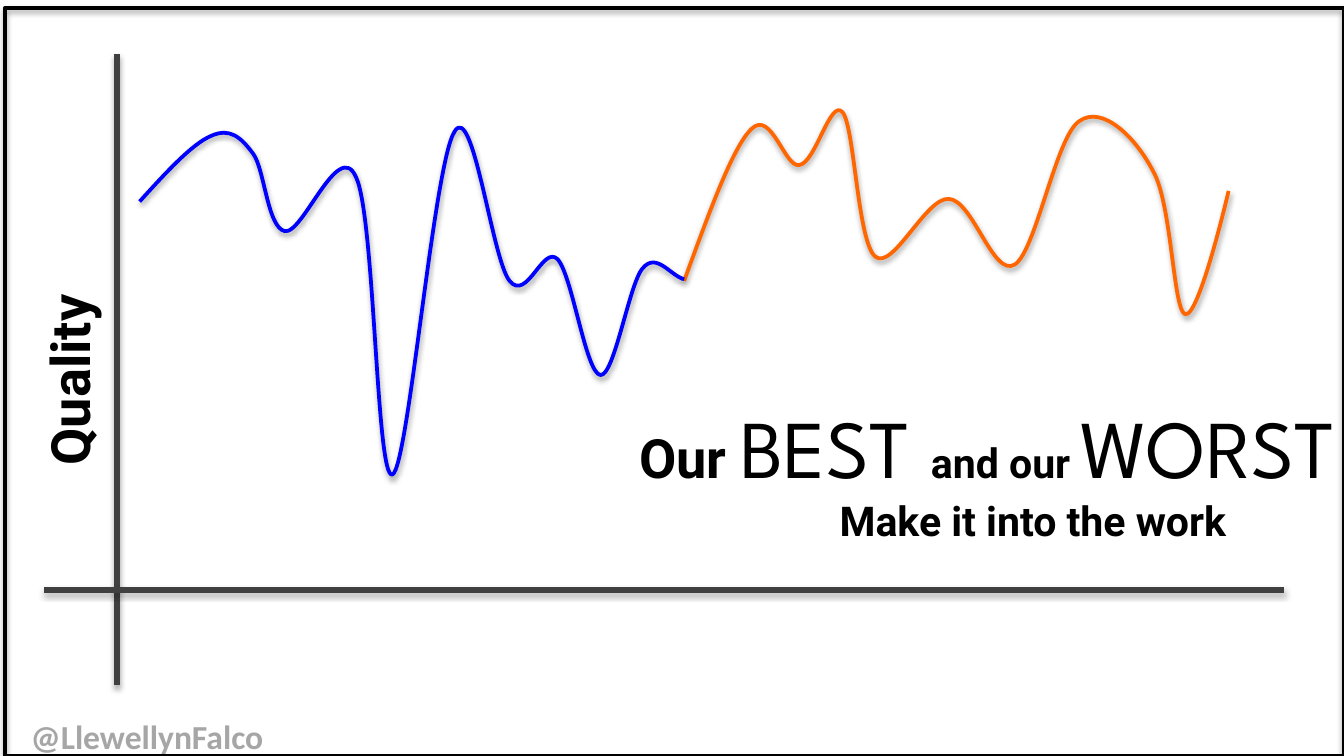
from lxml.etree import SubElement
from pptx import Presentation
from pptx.dml.color import RGBColor
from pptx.enum.shapes import MSO_CONNECTOR, MSO_SHAPE
from pptx.enum.text import MSO_ANCHOR, MSO_AUTO_SIZE, PP_ALIGN
from pptx.oxml.ns import qn
from pptx.util import Cm, Pt

BLACK = RGBColor(0x00, 0x00, 0x00)
AXIS_GREY = RGBColor(0x40, 0x40, 0x40)
CREDIT_GREY = RGBColor(0xA6, 0xA6, 0xA6)
BLUE = RGBColor(0x00, 0x00, 0xFF)
ORANGE = RGBColor(0xFF, 0x66, 0x00)

# Each curve: a starting point, then (control, control, end) per row, in cm.
FIRST_HALF = (2.64, 3.81), [
    ((3.12, 3.28), (3.63, 2.72), (3.99, 2.57)),
    ((4.34, 2.41), (4.55, 2.59), (4.78, 2.9)),
    ((5, 3.18), (5.05, 4.29), (5.38, 4.37)),
    ((5.72, 4.45), (6.4, 2.59), (6.73, 3.35)),
    ((7.09, 4.11), (7.11, 9.12), (7.42, 8.97)),
    ((7.72, 8.81), (8.2, 3.1), (8.59, 2.49)),
    ((8.94, 1.88), (9.3, 4.9), (9.63, 5.31)),
    ((9.96, 5.72), (10.26, 4.62), (10.54, 4.9)),
    ((10.82, 5.21), (11.07, 7.06), (11.35, 7.09)),
    ((11.61, 7.11), (11.89, 5.38), (12.14, 5.08)),
    ((12.4, 4.75), (12.67, 5.21), (12.93, 5.28)),
]
SECOND_HALF = (12.93, 5.31), [
    ((13.39, 4.06), (13.84, 2.79), (14.2, 2.44)),
    ((14.58, 2.06), (14.83, 3.18), (15.11, 3.12)),
    ((15.42, 3.07), (15.7, 1.83), (15.93, 2.13)),
    ((16.15, 2.41), (16.21, 4.57), (16.54, 4.85)),
    ((16.87, 5.13), (17.5, 3.73), (17.93, 3.76)),
    ((18.39, 3.78), (18.77, 5.26), (19.18, 5)),
    ((19.58, 4.75), (19.96, 2.57), (20.4, 2.29)),
    ((20.83, 1.98), (21.46, 2.59), (21.79, 3.23)),
    ((22.15, 3.84), (22.17, 5.87), (22.4, 5.94)),
    ((22.66, 6.02), (23.22, 3.61), (23.22, 3.61)),
]


class SlideBuilder:
    font = "Roboto"
    display_font = "League Spartan"
    credit_font = "Calibri"
    wide_margins = (0.69, 0.36)
    narrow_margins = (0.25, 0.13)

    def __init__(self, slide):
        self.slide = slide
        self.shapes = slide.shapes

    def outline(self, shape, color, width, opacity=35, distance=1.8):
        """Draw the line of a shape and the soft shadow below it."""
        shape.line.color.rgb = color
        shape.line.width = Pt(width)
        effects = SubElement(shape._element.spPr, qn("a:effectLst"))
        shadow = SubElement(effects, qn("a:outerShdw"), blurRad=str(Pt(3.1)),
                            dist=str(Pt(distance)), dir="5400000", rotWithShape="0")
        shadow_color = SubElement(shadow, qn("a:srgbClr"), val=str(BLACK))
        SubElement(shadow_color, qn("a:alpha"), val=str(opacity * 1000))

    def frame(self, left, top, width, height):
        shape = self.shapes.add_shape(MSO_SHAPE.ROUNDED_RECTANGLE,
                                      Cm(left), Cm(top), Cm(width), Cm(height))
        shape.adjustments[0] = 0
        shape.fill.background()
        self.outline(shape, BLACK, 2.25)

    def axis(self, x1, y1, x2, y2):
        connector = self.shapes.add_connector(MSO_CONNECTOR.STRAIGHT,
                                              Cm(x1), Cm(y1), Cm(x2), Cm(y2))
        self.outline(connector, AXIS_GREY, 3)

    def curve(self, start, segments, color):
        """Join the end points, then bend each line into a Bézier segment."""
        builder = self.shapes.build_freeform(Cm(start[0]), Cm(start[1]))
        builder.add_line_segments([(Cm(x), Cm(y)) for _, _, (x, y) in segments], close=False)
        shape = builder.convert_to_shape()
        lines = list(shape._element.iter(qn("a:lnTo")))
        for line, points in zip(lines, segments):
            line.tag = qn("a:cubicBezTo")
            line.remove(line[0])
            for x, y in points:
                SubElement(line, qn("a:pt"), x=str(Cm(x) - shape.left), y=str(Cm(y) - shape.top))
        shape.fill.background()
        self.outline(shape, color, 2, opacity=38, distance=1.6)

    def set_text(self, shape, paragraphs, margins, color=BLACK, align=PP_ALIGN.CENTER):
        """Fill a shape; each paragraph is a list of (text, size, font, bold)."""
        frame = shape.text_frame
        frame.word_wrap = True
        frame.auto_size = MSO_AUTO_SIZE.NONE
        frame.vertical_anchor = MSO_ANCHOR.TOP
        frame.margin_left = frame.margin_right = Cm(margins[0])
        frame.margin_top = frame.margin_bottom = Cm(margins[1])
        for index, runs in enumerate(paragraphs):
            paragraph = frame.add_paragraph() if index else frame.paragraphs[0]
            paragraph.alignment = align
            for text, size, font, bold in runs:
                run = paragraph.add_run()
                run.text = text
                run.font.size = Pt(size)
                run.font.name = font
                run.font.bold = bold
                run.font.color.rgb = color

    def message(self, left, top, width, height, paragraphs, last_indent):
        title = self.shapes.title
        title.left, title.top = Cm(left), Cm(top)
        title.width, title.height = Cm(width), Cm(height)
        self.set_text(title, paragraphs, self.wide_margins)
        properties = title.text_frame.paragraphs[-1]._p.get_or_add_pPr()
        properties.set("marL", str(Cm(last_indent)))
        properties.set("indent", "0")

    def axis_label(self, left, top, width, height, text):
        box = self.shapes.add_textbox(Cm(left), Cm(top), Cm(width), Cm(height))
        box.rotation = 270
        self.set_text(box, [[(text, 29, self.font, True)]], self.wide_margins)

    def credit(self, left, top, width, height, text):
        box = self.shapes.add_textbox(Cm(left), Cm(top), Cm(width), Cm(height))
        self.set_text(box, [[(text, 18, self.credit_font, True)]], self.narrow_margins,
                      CREDIT_GREY, PP_ALIGN.LEFT)
        box.text_frame.word_wrap = False


def main():
    presentation = Presentation()
    presentation.slide_width = Cm(25.4)
    presentation.slide_height = Cm(14.29)
    title_only = presentation.slide_layouts[5]
    builder = SlideBuilder(presentation.slides.add_slide(title_only))

    builder.credit(0.33, 13.41, 4.98, 1.03, "@LlewellynFalco")
    builder.frame(0.1, 0.15, 25.3, 14.15)
    font, display = builder.font, builder.display_font
    builder.message(11.15, 7.14, 15.01, 5.41, [
        [("Our ", 29, font, True), ("BEST ", 44, display, False),
         ("and our ", 22, font, True), ("WORST", 44, display, False)],
        [("Make it into the work", 22, font, True)],
    ], last_indent=1.73)
    builder.axis_label(-7.16, 6.22, 16.89, 1.93, "Quality")
    builder.axis(2.21, 1.02, 2.21, 12.95)
    builder.axis(0.84, 11.15, 24.26, 11.15)
    builder.curve(*SECOND_HALF, ORANGE)
    builder.curve(*FIRST_HALF, BLUE)

    presentation.save("out.pptx")


if __name__ == "__main__":
    main()
